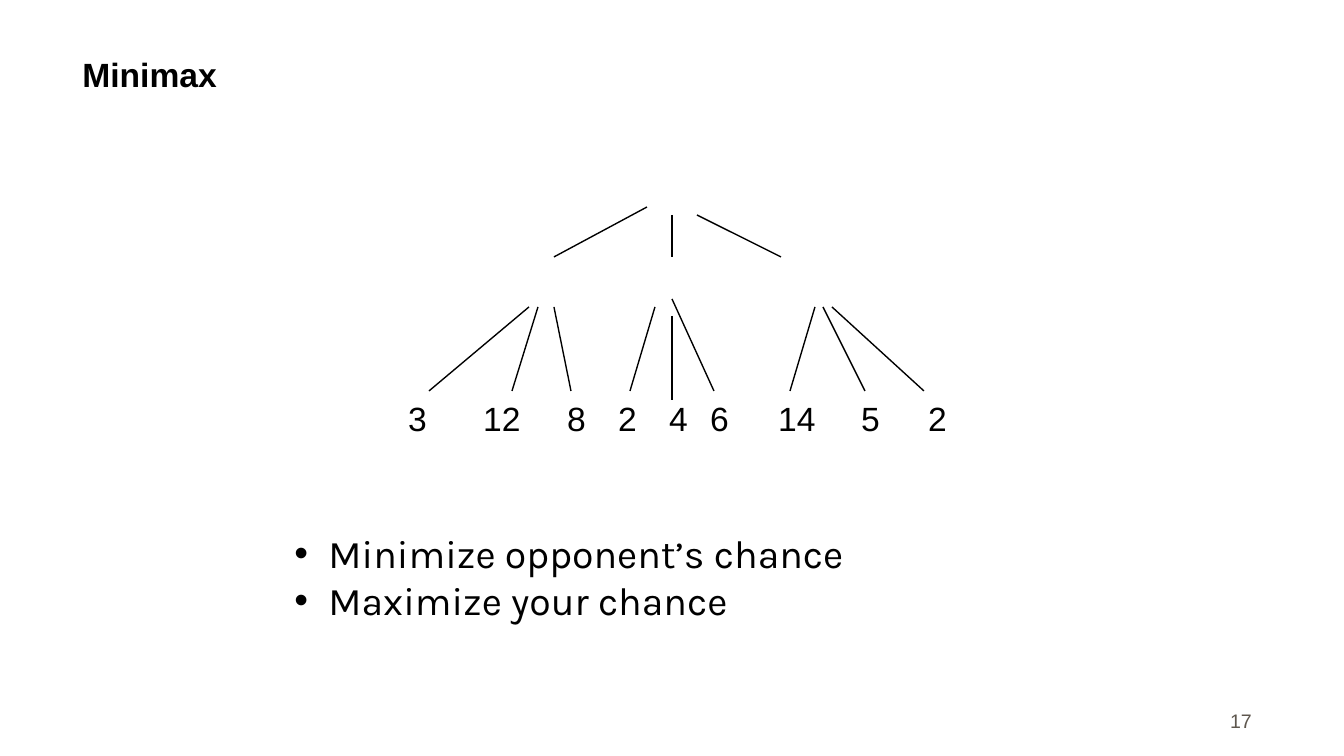
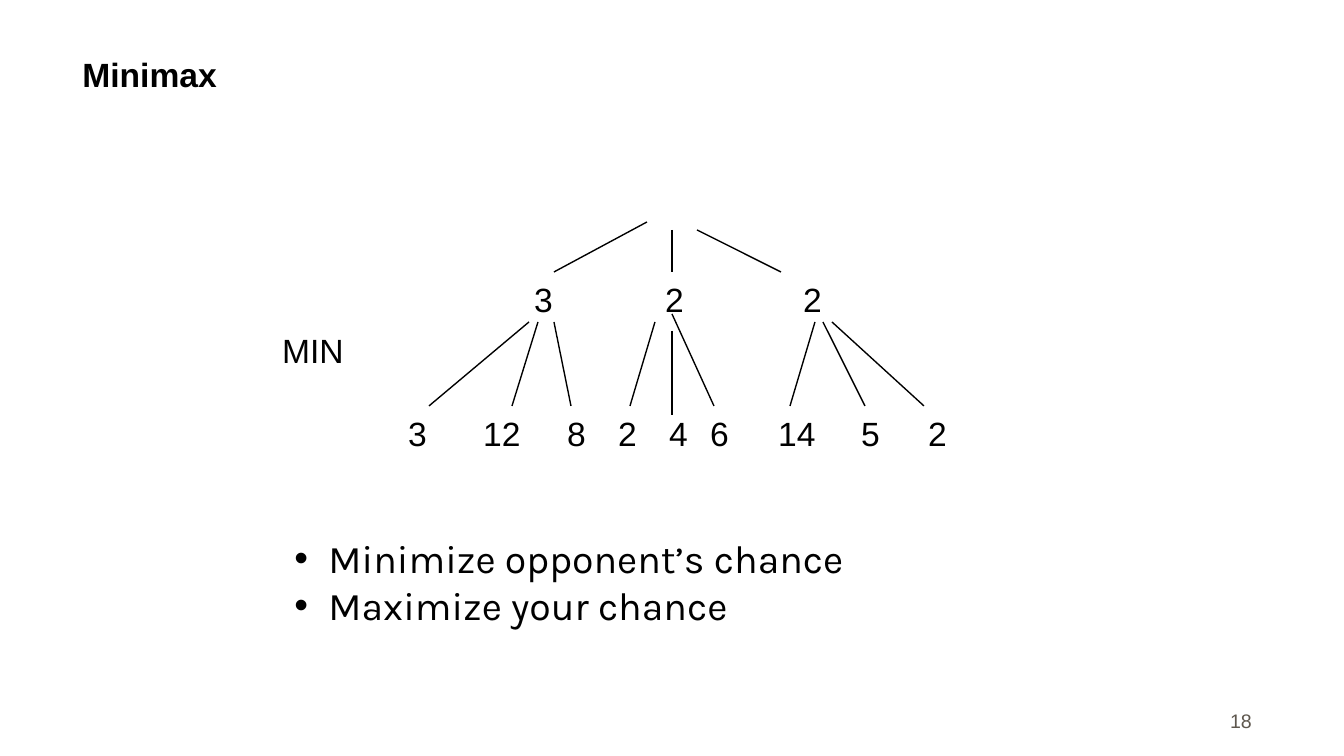
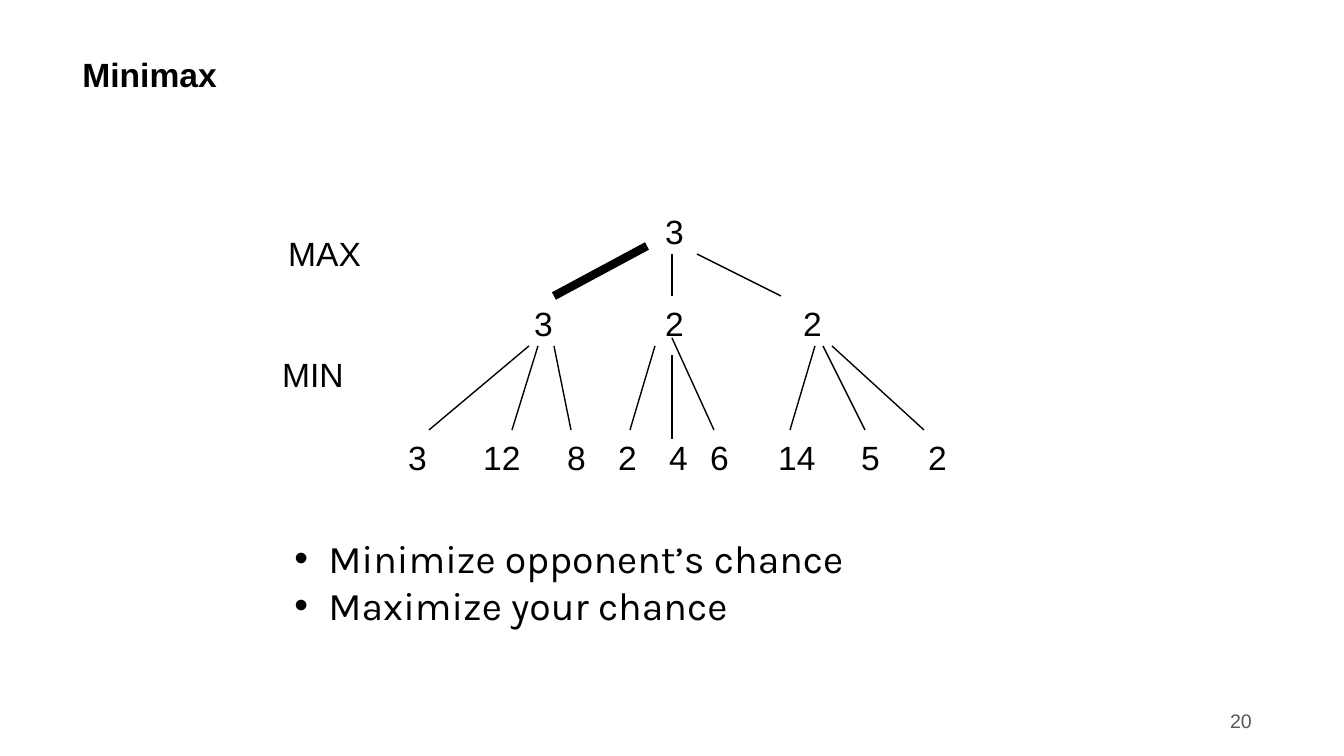
from lxml import etree
from pptx import Presentation
from pptx import util as u
from pptx.dml.color import RGBColor
from pptx.enum import shapes, text
from pptx.oxml import ns

SCALE = 914400 / 134.4
BLACK, GREY = "000000", "5E574E"
SANS, BODY = "Arial", "Karla"
TITLE = (69, 26, 1199, 75)
NUMBER = (985, 688, 280, 51)
TREE_X, LIST_X = 269, 281
LINE_H = 54
INDENT = 34

# Tree parts are placed from the left edge and the top of the highest edge.
ROOT = (383, -42)
MID_Y, LEAF_Y = 50, 184
MIDS = [(252, "3"), (383, "2"), (521, "2")]
LEAVES = [(126, "3"), (201, "12"), (285, "8"),
          (336, "2"), (387, "4"), (428, "6"),
          (496, "14"), (579, "5"), (646, "2")]
BEST = (378, 0, 285, 50)
EDGES = [(403, 8, 403, 50), (428, 8, 512, 50),
         (260, 100, 160, 184), (269, 100, 243, 184), (285, 100, 302, 184),
         (386, 100, 361, 184), (403, 109, 403, 193), (403, 92, 445, 184),
         (546, 100, 521, 184), (554, 100, 596, 184), (563, 100, 655, 184)]
MAX = (6, -20, 101, "MAX")
MIN = (0, 101, 89, "MIN")
POINTS = ["Minimize opponent’s chance", "Maximize your chance"]


def px(n):
    return u.Emu(round(n * SCALE))


def color(code):
    return RGBColor.from_string(code)


def place(shape, box):
    shape.left, shape.top, shape.width, shape.height = map(px, box)


def style(para, size, face=SANS, code=BLACK, bold=False):
    for run in para.runs:
        font = run.font
        font.name, font.size, font.bold = face, u.Pt(size), bold
        font.color.rgb = color(code)


def label(slide, box, words):
    frame = slide.shapes.add_textbox(*map(px, box)).text_frame
    frame.word_wrap = False
    frame.auto_size = text.MSO_AUTO_SIZE.SHAPE_TO_FIT_TEXT
    frame.text = words
    style(frame.paragraphs[0], 18)


def edge(slide, x, y, ends, width=0.75):
    x1, y1, x2, y2 = ends
    line = slide.shapes.add_connector(
        shapes.MSO_CONNECTOR.STRAIGHT,
        px(x + x1), px(y + y1), px(x + x2), px(y + y2))
    line.line.color.rgb = color(BLACK)
    line.line.width = u.Pt(width)
    etree.SubElement(line._element.spPr, ns.qn("a:effectLst"))


def value(slide, x, y, digits):
    label(slide, (x, y, 27 + 19 * len(digits), LINE_H), digits)


def tree(slide, x, y, solved):
    """Draw the game tree with the given number of upper levels filled in."""
    if solved > 1:
        value(slide, x + ROOT[0], y + ROOT[1], "3")
    if solved:
        for dx, digits in MIDS:
            value(slide, x + dx, y + MID_Y, digits)
    for dx, digits in LEAVES:
        value(slide, x + dx, y + LEAF_Y, digits)
    edge(slide, x, y, BEST, 4.5 if solved > 1 else 0.75)
    for ends in EDGES:
        edge(slide, x, y, ends)
    for dx, dy, width, words in [MIN, MAX][:solved]:
        label(slide, (x + dx, y + dy, width, LINE_H), words)


def header(slide):
    title = slide.shapes.title
    place(title, TITLE)
    frame = title.text_frame
    frame.text = "Minimax"
    frame.auto_size = text.MSO_AUTO_SIZE.NONE
    frame.vertical_anchor = text.MSO_ANCHOR.BOTTOM
    para = frame.paragraphs[0]
    para.alignment = text.PP_ALIGN.LEFT
    style(para, 18, bold=True)


def footer(slide, number):
    frame = slide.shapes.add_textbox(*map(px, NUMBER)).text_frame
    frame.word_wrap = True
    frame.vertical_anchor = text.MSO_ANCHOR.BOTTOM
    frame.text = str(number)
    para = frame.paragraphs[0]
    para.alignment = text.PP_ALIGN.RIGHT
    style(para, 10.5, code=GREY)


def points(slide, x, y):
    body = slide.placeholders[1]
    place(body, (x, y, 590, 109))
    frame = body.text_frame
    frame.text = "\n".join(POINTS)
    frame.auto_size = text.MSO_AUTO_SIZE.SHAPE_TO_FIT_TEXT
    for para in frame.paragraphs:
        props = para._p.get_or_add_pPr()
        props.set("marL", str(px(INDENT)))
        props.set("indent", str(-px(INDENT)))
        etree.SubElement(props, ns.qn("a:buFont")).set("typeface", SANS)
        etree.SubElement(props, ns.qn("a:buChar")).set("char", "•")
        para.space_before = u.Pt(0)
        style(para, 21, BODY)


def page(deck, number, top, low, solved):
    slide = deck.slides.add_slide(deck.slide_layouts[1])
    header(slide)
    footer(slide, number)
    tree(slide, TREE_X, top, solved)
    points(slide, LIST_X, low)


def main():
    deck = Presentation()
    deck.slide_width, deck.slide_height = px(1344), px(756)
    page(deck, 17, 207, 523, 0)
    page(deck, 18, 222, 528, 1)
    page(deck, 20, 246, 528, 2)
    deck.save("out.pptx")


if __name__ == "__main__":
    main()
